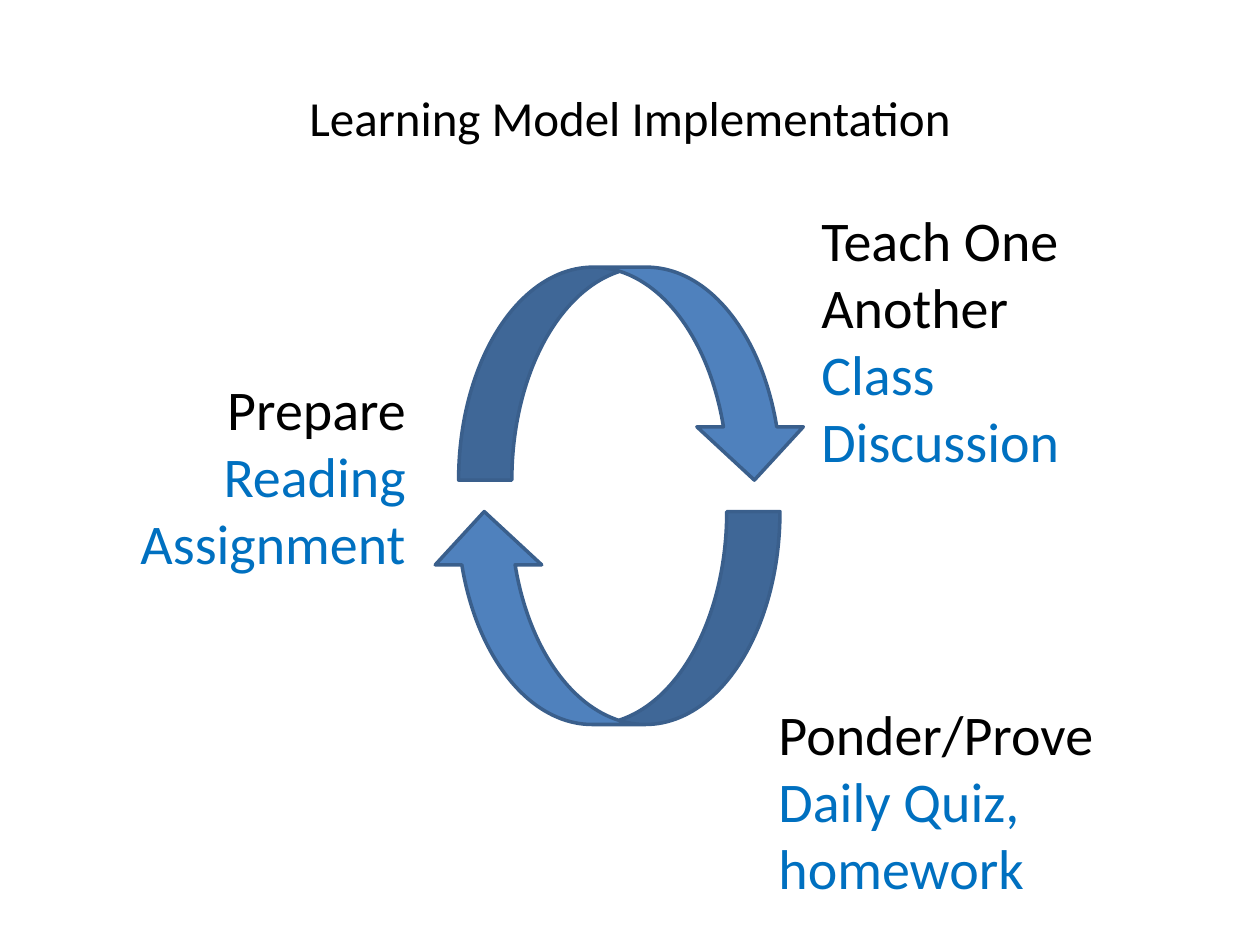
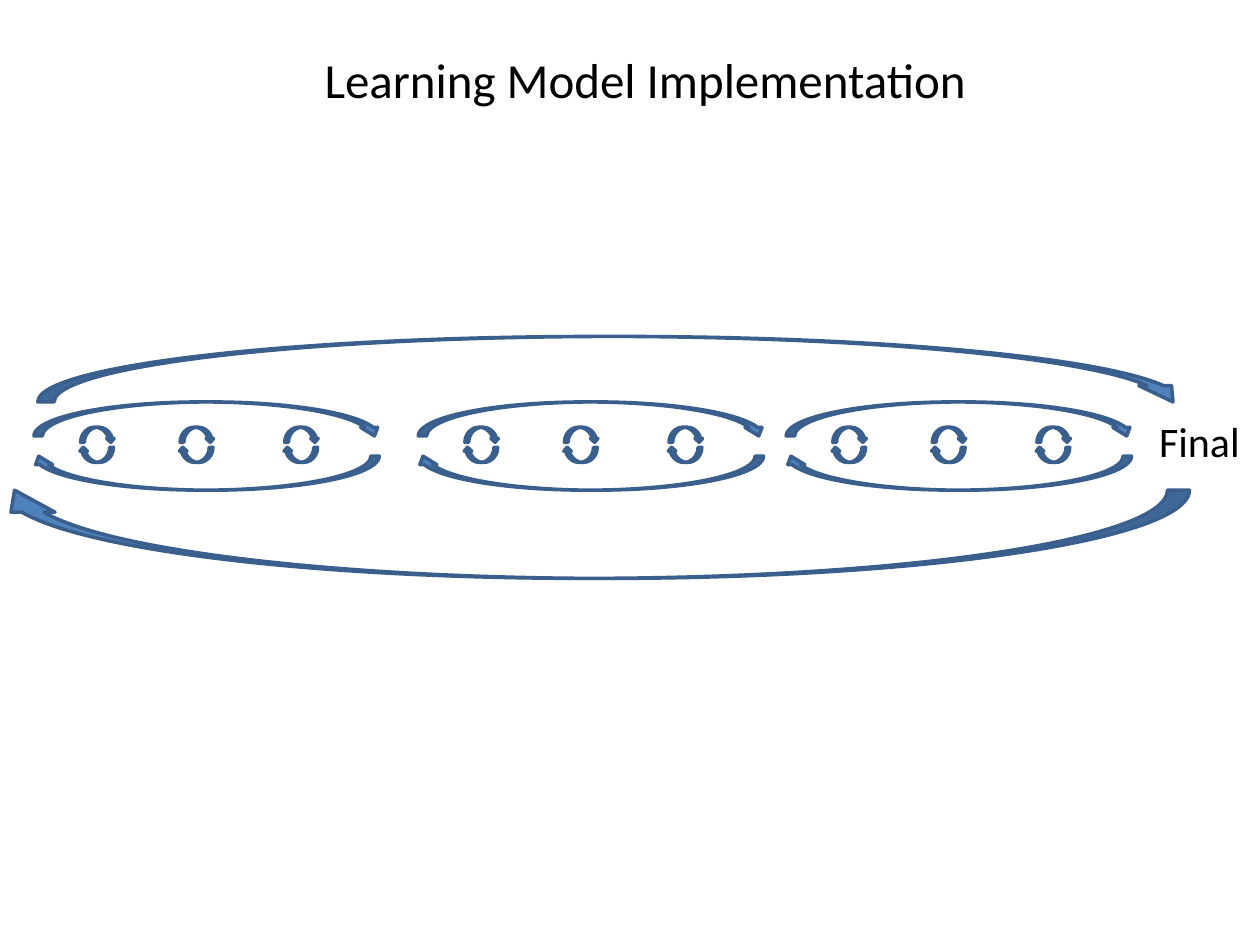
from itertools import product
from typing import NamedTuple

from pptx import Presentation
from pptx import util as u
from pptx.dml.color import RGBColor
from pptx.enum import shapes, text

PX = 9144
FONT = "Calibri"
TITLE = "Learning Model Implementation"
COLORS = {"ink": "000000", "activity": "0070C0", "arrow": "4F81BD", "edge": "3A5F8C"}


class Box(NamedTuple):
    left: int
    top: int
    width: int
    height: int

    def emu(self) -> list[int]:
        return [side * PX for side in self]


class Cycle(NamedTuple):
    outward: Box
    back: Box


class Stage(NamedTuple):
    box: Box
    name: str
    activity: str
    align: text.PP_ALIGN = text.PP_ALIGN.LEFT


LEARNING_CYCLE = Cycle(Box(364, 212, 277, 169), Box(342, 406, 277, 169))
STAGES = [
    Stage(Box(25, 292, 307, 172), "Prepare", "Reading Assignment", text.PP_ALIGN.RIGHT),
    Stage(Box(642, 158, 286, 226), "Teach One Another", "Class Discussion"),
    Stage(Box(608, 550, 325, 172), "Ponder/Prove", "Daily Quiz, homework"),
]
COURSE_CYCLE = Cycle(Box(30, 267, 914, 52), Box(-6, 389, 950, 70))
UNIT_LEFTS = [27, 332, 624]
LESSON_OFFSETS = [37, 116, 199]


def color(key: str) -> RGBColor:
    return RGBColor.from_string(COLORS[key])


def add_run(paragraph, words: str, size: int, color_key: str) -> None:
    run = paragraph.add_run()
    run.text = words
    run.font.name = FONT
    run.font.size = u.Pt(size)
    run.font.color.rgb = color(color_key)


def add_titled_slide(deck, title_box: Box):
    slide = deck.slides.add_slide(deck.slide_layouts[5])
    title = slide.shapes.title
    title.left, title.top, title.width, title.height = title_box.emu()
    title.text_frame.vertical_anchor = text.MSO_ANCHOR.MIDDLE
    heading = title.text_frame.paragraphs[0]
    heading.alignment = text.PP_ALIGN.CENTER
    add_run(heading, TITLE, 28, "ink")
    return slide


def draw_cycle(slide, cycle: Cycle) -> None:
    for box, rotation in zip(cycle, (0, 180)):
        arrow = slide.shapes.add_shape(
            shapes.MSO_SHAPE.CURVED_DOWN_ARROW, *box.emu())
        arrow.rotation = rotation
        arrow.shadow.inherit = False
        arrow.fill.solid()
        arrow.fill.fore_color.rgb = color("arrow")
        arrow.line.color.rgb = color("edge")
        arrow.line.width = u.Pt(2)


def add_label(slide, box: Box, wrap: bool = True):
    frame = slide.shapes.add_textbox(*box.emu()).text_frame
    frame.word_wrap = wrap
    frame.auto_size = text.MSO_AUTO_SIZE.SHAPE_TO_FIT_TEXT
    return frame


def draw_stage(slide, stage: Stage) -> None:
    frame = add_label(slide, stage.box)
    name, activity = frame.paragraphs[0], frame.add_paragraph()
    name.alignment = activity.alignment = stage.align
    add_run(name, stage.name, 32, "ink")
    add_run(activity, stage.activity, 32, "activity")


def build_model_slide(deck) -> None:
    slide = add_titled_slide(deck, Box(50, 30, 900, 125))
    draw_cycle(slide, LEARNING_CYCLE)
    for stage in STAGES:
        draw_stage(slide, stage)


def build_course_slide(deck) -> None:
    slide = add_titled_slide(deck, Box(62, 0, 900, 125))
    for unit, offset in product(UNIT_LEFTS, LESSON_OFFSETS):
        lesson = unit + offset
        draw_cycle(slide, Cycle(Box(lesson, 339, 27, 12), Box(lesson - 1, 355, 27, 12)))
    for unit in UNIT_LEFTS:
        draw_cycle(slide, Cycle(Box(unit, 319, 277, 27), Box(unit - 3, 362, 277, 27)))
    draw_cycle(slide, COURSE_CYCLE)
    final = add_label(slide, Box(910, 325, 85, 51), wrap=False)
    add_run(final.paragraphs[0], "Final", 24, "ink")


def main() -> None:
    deck = Presentation()
    deck.slide_width, deck.slide_height = 1000 * PX, 750 * PX
    build_model_slide(deck)
    build_course_slide(deck)
    deck.save("out.pptx")


if __name__ == "__main__":
    main()
